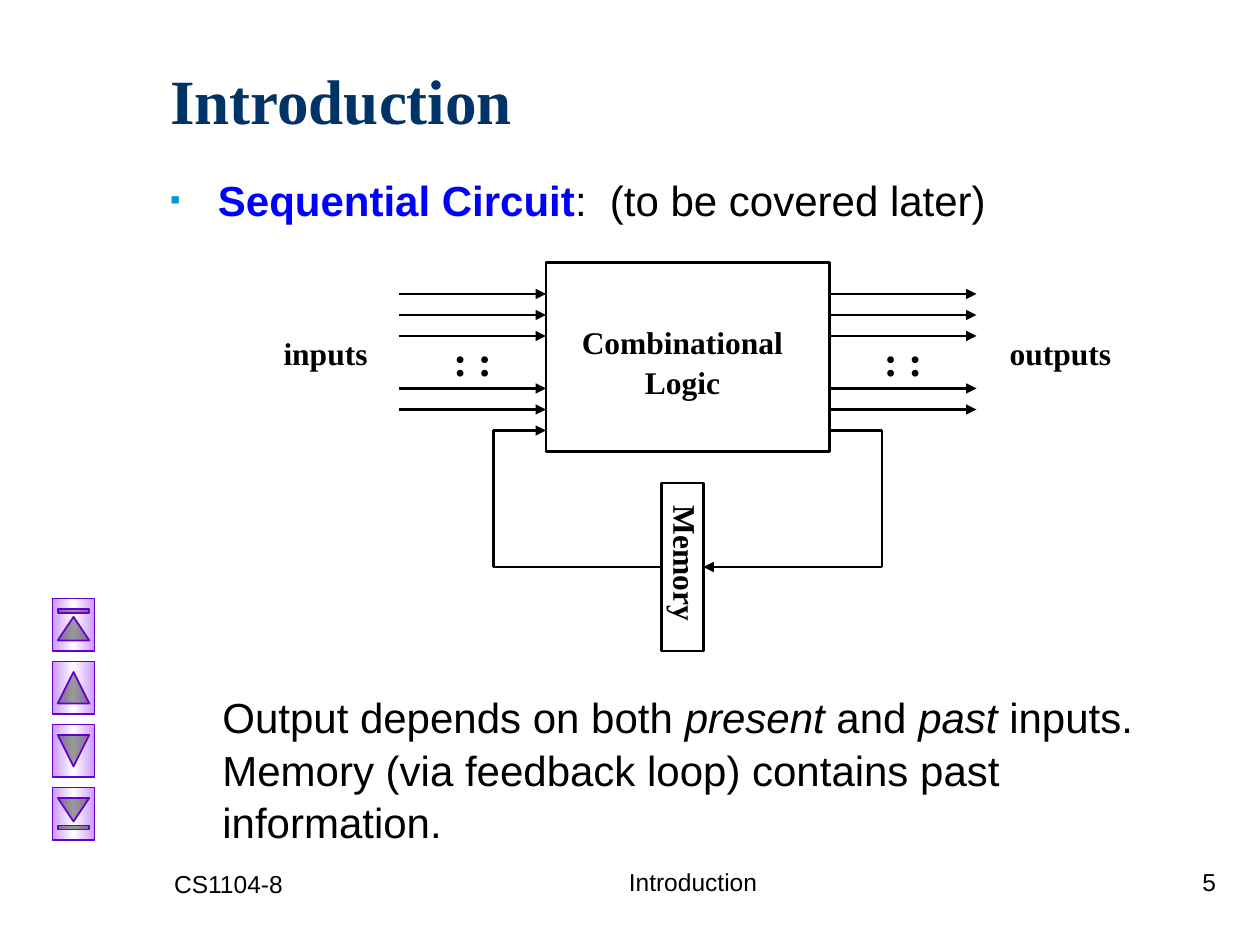
"""Builds the sequential circuit slide on a grid of 120 columns by 90 rows."""
from copy import deepcopy
from dataclasses import dataclass

from lxml.etree import SubElement
from pptx import Presentation
from pptx.dml.color import RGBColor
from pptx.enum.shapes import MSO_CONNECTOR, MSO_SHAPE
from pptx.enum.text import MSO_ANCHOR, MSO_AUTO_SIZE, PP_ALIGN
from pptx.oxml.ns import qn
from pptx.util import Inches, Pt


@dataclass(frozen=True)
class Theme:
    sans: str = "Arial"
    serif: str = "Times New Roman"
    heading: RGBColor = RGBColor.from_string("003366")
    term: RGBColor = RGBColor.from_string("0000FF")
    ink: RGBColor = RGBColor.from_string("000000")
    bullet: str = "0099CC"
    button_edge: RGBColor = RGBColor.from_string("6600CC")
    button_fill: tuple = ("CC99FF", "FFFFFF", "CC99FF")
    title_size: int = 36
    body_size: int = 24
    label_size: int = 18
    footer_size: int = 14


theme = Theme()
deck = Presentation()
deck.slide_width, deck.slide_height = Inches(10), Inches(7.5)
column, row = deck.slide_width / 120, deck.slide_height / 90
slide = deck.slides.add_slide(deck.slide_layouts[1])
shapes = slide.shapes


def write(holder, area, paragraphs, size, font=theme.sans, align=PP_ALIGN.LEFT,
          before=0, spacing=1.0, anchor=MSO_ANCHOR.TOP):
    """Places a text holder on the grid and fills it with (text, style, colour) runs."""
    left, top, width, height = area
    holder.left, holder.top = round(left * column), round(top * row)
    holder.width, holder.height = round(width * column), round(height * row)
    frame = holder.text_frame
    frame.word_wrap, frame.auto_size = True, MSO_AUTO_SIZE.NONE
    frame.vertical_anchor = anchor
    for index, runs in enumerate(paragraphs):
        paragraph = frame.add_paragraph() if index else frame.paragraphs[0]
        paragraph.alignment, paragraph.line_spacing = align, spacing
        paragraph.space_before = Pt(0 if index else before)
        for text, style, colour in runs:
            run = paragraph.add_run()
            run.text = text
            run.font.name, run.font.size = font, Pt(size)
            run.font.bold, run.font.italic = style == "bold", style == "italic"
            run.font.color.rgb = colour
    return holder


def wire(start, end, arrow=False):
    """Draws a straight line between two grid points."""
    line = shapes.add_connector(
        MSO_CONNECTOR.STRAIGHT, round(start[0] * column), round(start[1] * row),
        round(end[0] * column), round(end[1] * row))
    line.line.color.rgb, line.line.width = theme.ink, Pt(1.25)
    if arrow:
        SubElement(line.line._get_or_add_ln(), qn("a:tailEnd"), type="triangle")
    SubElement(line._element.spPr, qn("a:effectLst"))
    return line


write(shapes.title, (15, 2, 102, 15), [[("Introduction", "bold", theme.heading)]],
      theme.title_size, theme.serif, anchor=MSO_ANCHOR.MIDDLE)

topic = write(slide.placeholders[1], (15, 16, 102, 7),
              [[("Sequential Circuit", "bold", theme.term),
                (":  (to be covered later)", "", theme.ink)]],
              theme.body_size, before=6)
bullet = topic.text_frame.paragraphs[0]._p.get_or_add_pPr()
bullet.set("marL", str(Inches(0.38)))
bullet.set("indent", str(-Inches(0.38)))
SubElement(SubElement(bullet, qn("a:buClr")), qn("a:srgbClr"), val=theme.bullet)
SubElement(bullet, qn("a:buSzPct"), val="70000")
SubElement(bullet, qn("a:buFont"), typeface=theme.sans)
SubElement(bullet, qn("a:buChar"), char="▪")

explanation = [
    [("Output depends on both ", "", theme.ink), ("present", "italic", theme.ink),
     (" and ", "", theme.ink), ("past", "italic", theme.ink), (" inputs.", "", theme.ink)],
    [("Memory (via feedback loop) contains past information.", "", theme.ink)],
]
write(shapes.add_textbox(0, 0, 0, 0), (20, 65, 94, 17), explanation,
      theme.body_size, spacing=1.05)

blocks = []
for left, top, width, height in ((52, 25, 27, 18), (63, 46, 4, 16)):
    block = shapes.add_shape(MSO_SHAPE.RECTANGLE, round(left * column), round(top * row),
                             round(width * column), round(height * row))
    block.shadow.inherit = False
    block.fill.background()
    block.line.color.rgb, block.line.width = theme.ink, Pt(1.5)
    blocks.append(block)
logic, memory = blocks

for bus_left in (38, 79):
    for level in (28, 30, 32, 37, 39):
        wire((bus_left, level), (bus_left + 14, level), arrow=True)

wire((47, 41), (52, 41), arrow=True)
wire((47, 41), (47, 54))
wire((79, 41), (84, 41))
wire((84, 41), (84, 54))
wire((63, 54), (47, 54)).begin_connect(memory, 1)
wire((84, 54), (67, 54), arrow=True).end_connect(memory, 3)

labels = [
    (["Combinational", "Logic"], (53, 30, 24, 8.4), theme.label_size, PP_ALIGN.CENTER, 11.2, 0),
    (["inputs"], (24, 31, 14, 4.8), theme.label_size, PP_ALIGN.CENTER, 11.2, 0),
    (["outputs"], (94, 31, 14, 4.8), theme.label_size, PP_ALIGN.CENTER, 11.2, 0),
    ([": :"], (42, 31, 8, 6), theme.body_size, PP_ALIGN.LEFT, 15, 0),
    ([": :"], (83, 31, 8, 6), theme.body_size, PP_ALIGN.LEFT, 15, 0),
    (["Memory"], (58, 52.1, 15, 4.8), theme.label_size, PP_ALIGN.LEFT, 11.2, 90),
]
for lines, area, size, align, before, turn in labels:
    label = write(shapes.add_textbox(0, 0, 0, 0), area,
                  [[(line, "bold", theme.ink)] for line in lines],
                  size, theme.serif, align, before, 1.05)
    label.rotation = turn

directions = (MSO_SHAPE.ACTION_BUTTON_BEGINNING, MSO_SHAPE.ACTION_BUTTON_BACK_OR_PREVIOUS,
              MSO_SHAPE.ACTION_BUTTON_FORWARD_OR_NEXT, MSO_SHAPE.ACTION_BUTTON_END)
for index, direction in enumerate(directions):
    button = shapes.add_shape(direction, round(4.5 * column), round((57.5 + 6 * index) * row),
                              round(5 * column), round(4 * row))
    button.rotation = 90
    button.shadow.inherit = False
    button.line.color.rgb, button.line.width = theme.button_edge, Pt(1)
    button.fill.gradient()
    button.fill.gradient_angle = 90
    stops = button._element.spPr.find(qn("a:gradFill")).find(qn("a:gsLst"))
    stops.insert(1, deepcopy(stops[0]))
    for stop, colour, position in zip(button.fill.gradient_stops, theme.button_fill, (0, 0.5, 1)):
        stop.color.rgb = RGBColor.from_string(colour)
        stop.position = position

footers = [
    ("CS1104-8", (15.4, 82.2, 25, 6), PP_ALIGN.LEFT),
    ("Introduction", (47, 82, 38, 6), PP_ALIGN.CENTER),
    ("5", (92, 82, 25, 6), PP_ALIGN.RIGHT),
]
for text, area, align in footers:
    write(shapes.add_textbox(0, 0, 0, 0), area, [[(text, "", theme.ink)]],
          theme.footer_size, align=align, before=8.8)

deck.save("out.pptx")
